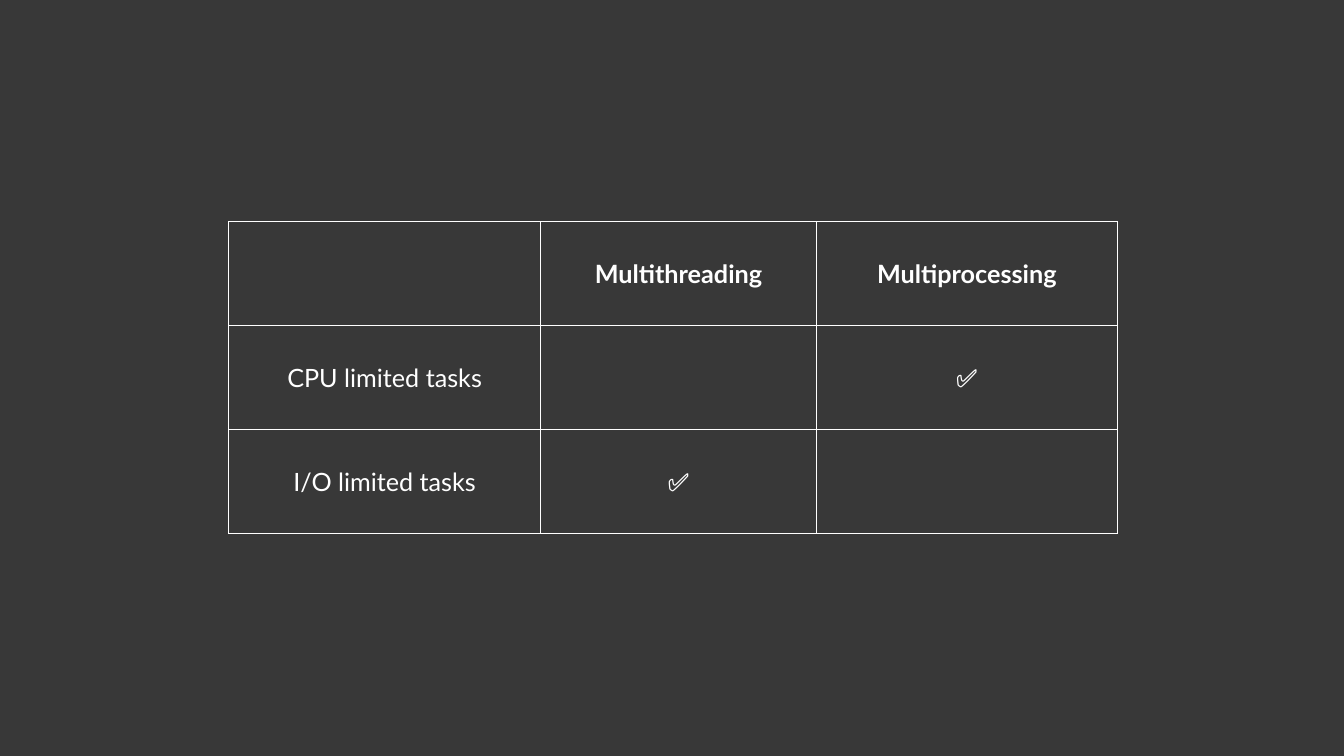
from dataclasses import dataclass

from lxml import etree
from pptx import Presentation, util as u
from pptx.dml.color import RGBColor
from pptx.enum import shapes, text
from pptx.oxml.ns import qn

ROWS = [
    ("", "Multithreading", "Multiprocessing"),
    ("CPU limited tasks", "", "✅"),
    ("I/O limited tasks", "✅", ""),
]
COLUMN_WIDTHS = (3.09, 2.74, 2.98)
ROW_HEIGHT = 1.03
TABLE_LEFT, TABLE_TOP = 2.27, 2.2
SLIDE_WIDTH, SLIDE_HEIGHT = 13.33, 7.5
BACKDROP_DIAMETER = 20.9


@dataclass(frozen=True)
class Theme:
    backdrop: str = "383838"
    foreground: str = "FFFFFF"
    font: str = "Lato"
    size: int = 18
    border: int = 1


THEME = Theme()


def add_backdrop(slide):
    left = (SLIDE_WIDTH - BACKDROP_DIAMETER) / 2
    top = (SLIDE_HEIGHT - BACKDROP_DIAMETER) / 2
    shape = slide.shapes.add_shape(
        shapes.MSO_SHAPE.OVAL, u.Inches(left), u.Inches(top),
        u.Inches(BACKDROP_DIAMETER), u.Inches(BACKDROP_DIAMETER))
    shape.shadow.inherit = False
    shape.fill.solid()
    shape.fill.fore_color.rgb = RGBColor.from_string(THEME.backdrop)
    shape.line.fill.background()


def add_borders(cell):
    properties = cell._tc.get_or_add_tcPr()
    for position, side in enumerate(("a:lnL", "a:lnR", "a:lnT", "a:lnB")):
        line = etree.Element(qn(side), w=str(u.Pt(THEME.border)))
        fill = etree.SubElement(line, qn("a:solidFill"))
        etree.SubElement(fill, qn("a:srgbClr"), val=THEME.foreground)
        properties.insert(position, line)


def style_cell(cell, words, bold):
    cell.fill.background()
    add_borders(cell)
    cell.vertical_anchor = text.MSO_ANCHOR.MIDDLE
    cell.text_frame.text = words
    paragraph = cell.text_frame.paragraphs[0]
    paragraph.alignment = text.PP_ALIGN.CENTER
    for run in paragraph.runs:
        run.font.name = THEME.font
        run.font.size = u.Pt(THEME.size)
        run.font.bold = bold
        run.font.color.rgb = RGBColor.from_string(THEME.foreground)


def add_comparison(slide):
    table = slide.shapes.add_table(
        len(ROWS), len(COLUMN_WIDTHS), u.Inches(TABLE_LEFT), u.Inches(TABLE_TOP),
        u.Inches(sum(COLUMN_WIDTHS)), u.Inches(ROW_HEIGHT * len(ROWS))).table
    table.first_row = False
    table.horz_banding = False
    for column, width in zip(table.columns, COLUMN_WIDTHS):
        column.width = u.Inches(width)
    for row_index, row in enumerate(ROWS):
        table.rows[row_index].height = u.Inches(ROW_HEIGHT)
        for column_index, words in enumerate(row):
            style_cell(table.cell(row_index, column_index), words, row_index == 0)


def main():
    presentation = Presentation()
    presentation.slide_width = u.Inches(SLIDE_WIDTH)
    presentation.slide_height = u.Inches(SLIDE_HEIGHT)
    slide = presentation.slides.add_slide(presentation.slide_layouts[6])
    add_backdrop(slide)
    add_comparison(slide)
    presentation.save("out.pptx")


if __name__ == "__main__":
    main()
